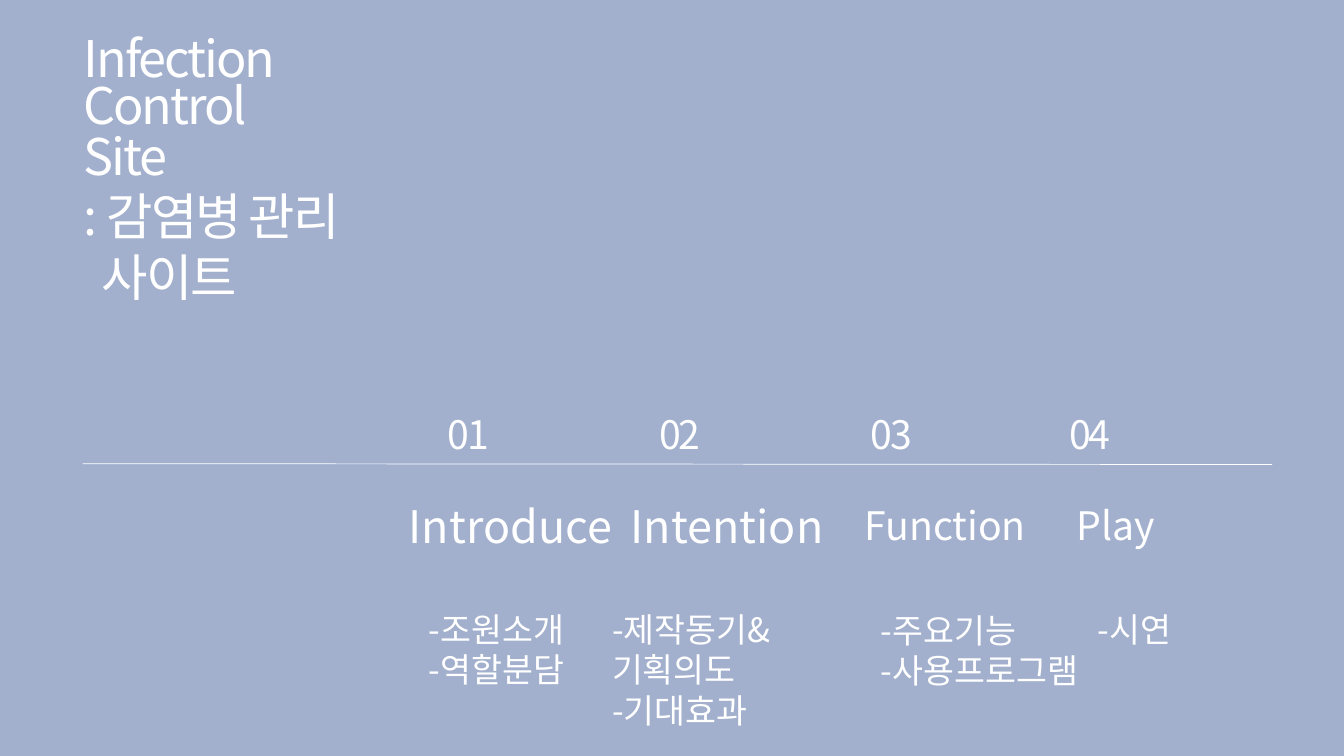
from lxml import etree
from pptx import Presentation
from pptx import util as u
from pptx.dml import color as dml
from pptx.enum import shapes, text
from pptx.oxml import ns

Pt = u.Pt
FONT = "Noto Sans CJK KR"
WHITE, BLUE = "FFFFFF", "3D5A98"
WIDTH, HEIGHT = 960, 540


def rgb(hex_string):
    return dml.RGBColor.from_string(hex_string)


def place(shape, left, top, width, height):
    shape.left, shape.top = Pt(left), Pt(top)
    shape.width, shape.height = Pt(width), Pt(height)


def write(shape, lines, size, spacing=0, indents=()):
    """Fill a text box or placeholder with one white run per paragraph."""
    frame = shape.text_frame
    frame.word_wrap = True
    frame.vertical_anchor = text.MSO_ANCHOR.TOP
    frame.auto_size = text.MSO_AUTO_SIZE.SHAPE_TO_FIT_TEXT
    for i, line in enumerate(lines):
        paragraph = frame.paragraphs[0] if i == 0 else frame.add_paragraph()
        paragraph.alignment = text.PP_ALIGN.LEFT
        paragraph.line_spacing = 1.0
        paragraph.space_before = Pt(0)
        properties = paragraph._p.get_or_add_pPr()
        properties.set("marL", str(Pt(indents[i] if indents else 0)))
        properties.set("indent", "0")
        etree.SubElement(properties, ns.qn("a:buNone"))
        run = paragraph.add_run()
        run.text = line
        run.font.size, run.font.bold = Pt(size), False
        run.font.color.rgb = rgb(WHITE)
        run.font.name = FONT
        run_properties = run._r.get_or_add_rPr()
        etree.SubElement(run_properties, ns.qn("a:ea"), typeface=FONT)
        if spacing:
            run_properties.set("spc", str(int(spacing * 100)))


def add_label(slide, box, lines, size, **style):
    label = slide.shapes.add_textbox(*map(Pt, box))
    write(label, lines, size, **style)


def add_backdrop(slide, left, top, width, height):
    backdrop = slide.shapes.add_shape(
        shapes.MSO_SHAPE.RECTANGLE, Pt(left), Pt(top), Pt(width), Pt(height))
    backdrop.shadow.inherit = False
    backdrop.line.fill.background()
    backdrop.fill.solid()
    backdrop.fill.fore_color.rgb = rgb(BLUE)
    tint = backdrop.element.spPr.find(".//" + ns.qn("a:srgbClr"))
    etree.SubElement(tint, ns.qn("a:alpha"), val="48000")
    slide.shapes.element.insert(2, backdrop.element)  # behind the placeholders


def add_heading(slide, left, top, width):
    place(slide.shapes.title, left, top, width, 51)
    write(slide.shapes.title, ["Infection"], 36, spacing=-1.5)
    add_label(slide, (left, top + 33.8, width, 51), ["Control"], 36, spacing=-1.5)
    add_label(slide, (left, top + 69.8, width, 138),
              ["Site", ": 감염병 관리", "사이트"], 36, spacing=-1.5, indents=(0, 0, 13))


def add_timeline(slide, left, top, width):
    timeline = slide.shapes.add_connector(
        shapes.MSO_CONNECTOR.STRAIGHT, Pt(left), Pt(top), Pt(left + width), Pt(top + 0.6))
    timeline.line.color.rgb = rgb(WHITE)
    timeline.line.width = Pt(0.5)
    etree.SubElement(timeline.element.spPr, ns.qn("a:effectLst"))


def add_chapter(slide, chapter, top):
    """Number above the line, name below it, topics in a body placeholder."""
    number, number_left, name, size, name_box, topics, topic_box = chapter
    name_left, name_top, name_width = name_box
    topic_left, topic_top, topic_width = topic_box
    add_label(slide, (number_left, top, 79, 41), [number], 28, spacing=-1.5)
    add_label(slide, (name_left, top + name_top, name_width, size * 1.45), [name], size)
    body = slide.placeholders[int(number)]
    place(body, topic_left, top + topic_top, topic_width, 36 + 29 * (len(topics) - 1))
    write(body, topics, 24)


# Number, its left, name, name size, name box, topics, topic box
# (boxes are left, drop below the number, width)
CHAPTERS = [
    ("01", 312.5, "Introduce", 32, (285, 63, 213),
     ["-조원소개", "-역할분담"], (299, 141.5, 204)),
    ("02", 463.7, "Intention", 32, (443.5, 63, 207),
     ["-제작동기&기획의도", "-기대효과"], (430, 141.5, 204)),
    ("03", 614.9, "Function", 28, (610.5, 64.5, 189),
     ["-주요기능", "-사용프로그램"], (622, 142, 204)),
    ("04", 756.7, "Play", 28, (762, 64.5, 182),
     ["-시연"], (777, 141.5, 196)),
]

presentation = Presentation()
presentation.slide_width, presentation.slide_height = Pt(WIDTH), Pt(HEIGHT)
# The comparison layout has a title and four bodies, one per chapter
slide = presentation.slides.add_slide(presentation.slide_layouts[4])

add_backdrop(slide, -1, 0, WIDTH + 1, HEIGHT)
add_heading(slide, 52.6, 15.8, 268.6)
add_timeline(slide, 59, 331.2, 849.6)
for chapter in CHAPTERS:
    add_chapter(slide, chapter, 289.8)

presentation.save("out.pptx")
